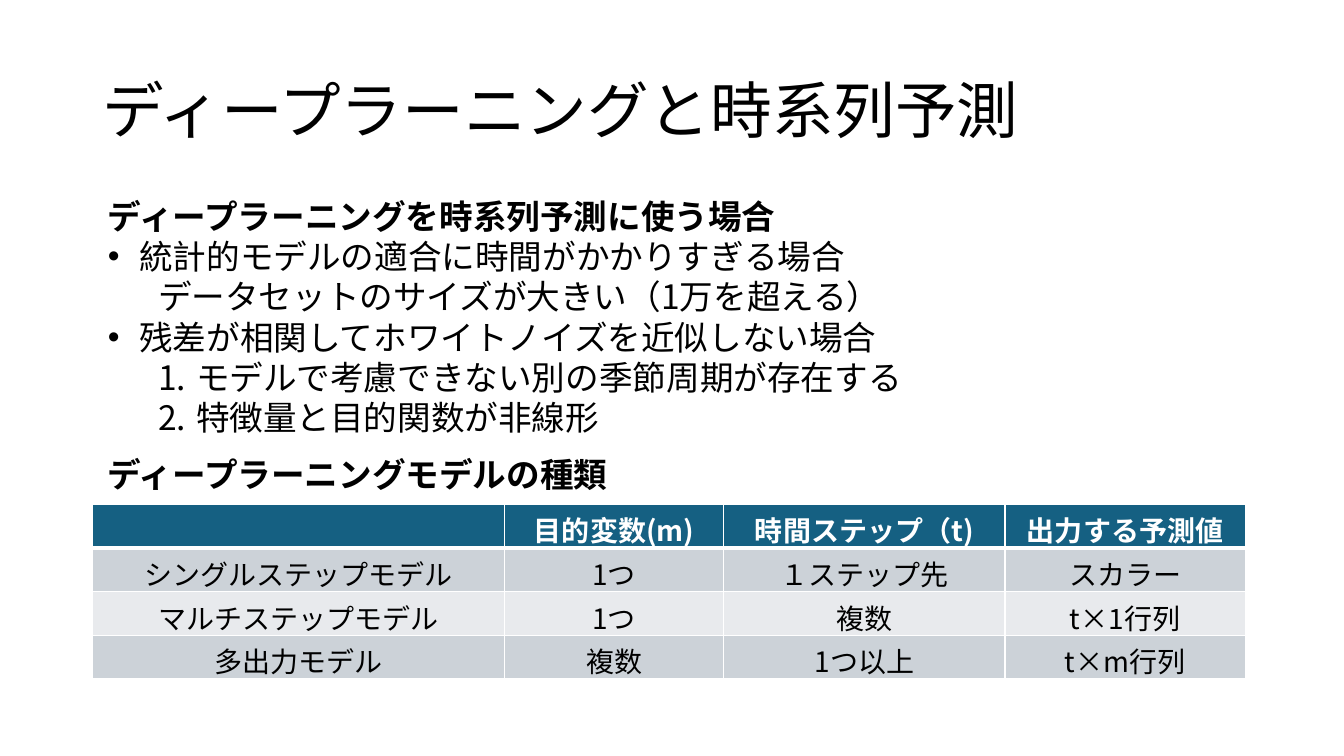
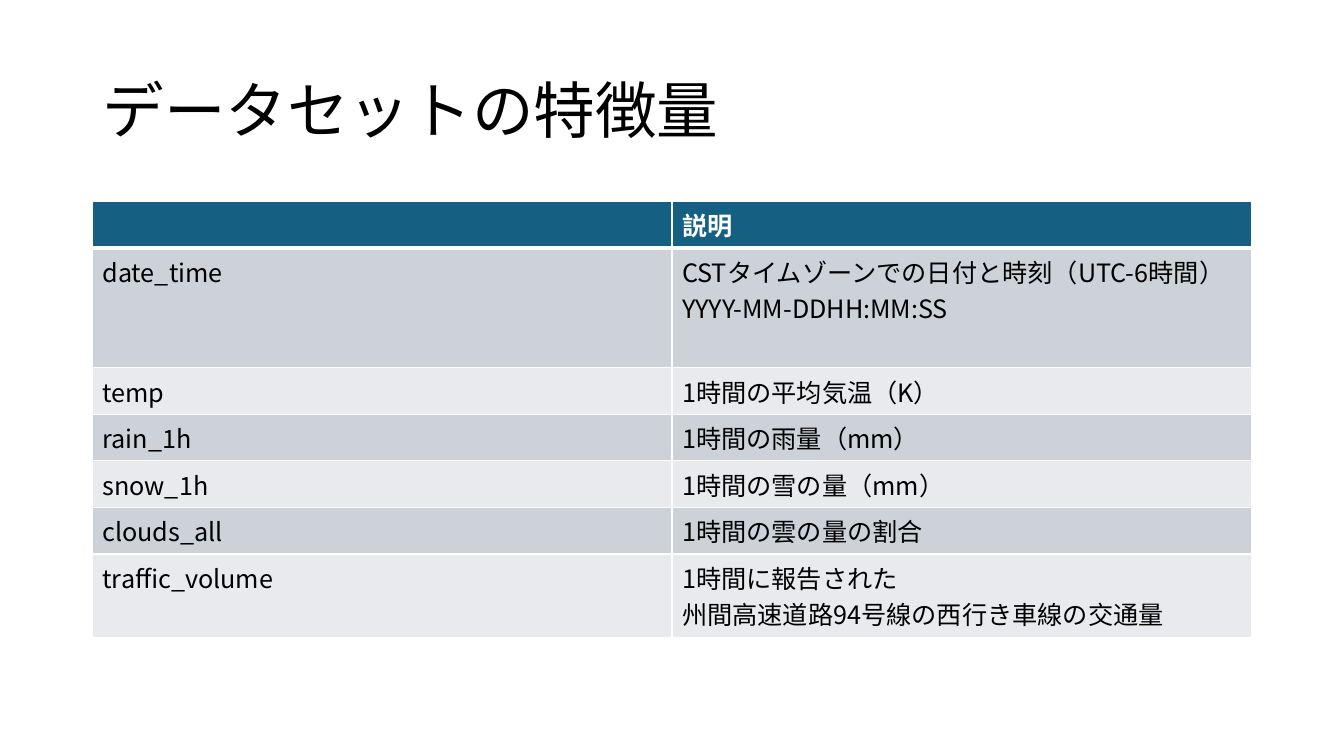
from lxml.etree import SubElement as Sub
from pptx import Presentation
from pptx.dml.color import RGBColor as RGB
from pptx.enum.text import MSO_ANCHOR as Anchor, MSO_AUTO_SIZE as Auto, PP_ALIGN as Align
from pptx.oxml import parse_xml
from pptx.oxml.ns import nsdecls, qn
from pptx.util import Pt

FONT = "Noto Sans CJK JP"
HUES = {"text": "000000", "head": "156082", "odd": "CCD2D8",
        "even": "E8EAED", "white": "FFFFFF"}

# kind: (level, left indent, first line, bullet tag, bullet attributes)
KINDS = {
    "head": (0, 0, 0, "buNone", {}),
    "dot": (0, 22.5, -22.5, "buChar", {"char": "•"}),
    "note": (1, 36, 0, "buNone", {}),
    "step": (1, 63, -27, "buAutoNum", {"type": "arabicPeriod"}),
}
CASES = [
    ("head", "ディープラーニングを時系列予測に使う場合"),
    ("dot", "統計的モデルの適合に時間がかかりすぎる場合"),
    ("note", "データセットのサイズが大きい（1万を超える）"),
    ("dot", "残差が相関してホワイトノイズを近似しない場合"),
    ("step", "モデルで考慮できない別の季節周期が存在する"),
    ("step", "特徴量と目的関数が非線形"),
]
MODELS = [
    ("", "目的変数(m)", "時間ステップ（t)", "出力する予測値"),
    ("シングルステップモデル", "1つ", "１ステップ先", "スカラー"),
    ("マルチステップモデル", "1つ", "複数", "t×1行列"),
    ("多出力モデル", "複数", "1つ以上", "t×m行列"),
]
TRAITS = [
    ("", "説明"),
    ("date_time", "CSTタイムゾーンでの日付と時刻（UTC-6時間）\nYYYY-MM-DDHH:MM:SS"),
    ("temp", "1時間の平均気温（K）"),
    ("rain_1h", "1時間の雨量（mm）"),
    ("snow_1h", "1時間の雪の量（mm）"),
    ("clouds_all", "1時間の雲の量の割合"),
    ("traffic_volume", "1時間に報告された\n州間高速道路94号線の西行き車線の交通量"),
]


def style(para, size, hue="text", bold=False, align=Align.LEFT):
    para.alignment = align
    for run in para.runs:
        font = run.font
        font.size, font.bold, font.name = Pt(size), bold, FONT
        font.color.rgb = RGB.from_string(HUES[hue])
        Sub(font._element, qn("a:ea"), typeface=FONT)


def place(shape, box):
    shape.left, shape.top, shape.width, shape.height = map(Pt, box)


def start(deck, layout, title):
    """Add a slide with the shared title."""
    slide = deck.slides.add_slide(deck.slide_layouts.get_by_name(layout))
    shape = slide.shapes.title
    place(shape, (66, 28.8, 828, 104.4))
    frame = shape.text_frame
    frame.text = title
    frame.vertical_anchor = Anchor.MIDDLE
    frame.paragraphs[0].line_spacing = 0.9
    style(frame.paragraphs[0], 44)
    return slide


def add_list(shape, box, items):
    place(shape, box)
    frame = shape.text_frame
    frame.auto_size = Auto.NONE
    frame.text = "\n".join(text for _, text in items)
    for para, (kind, _) in zip(frame.paragraphs, items):
        level, left, first, tag, attrs = KINDS[kind]
        para.level = level
        para.space_before = Pt(0)
        style(para, 24, bold=kind == "head")
        props = para._p.get_or_add_pPr()
        props.set("marL", str(Pt(left)))
        props.set("indent", str(Pt(first)))
        Sub(props, qn("a:" + tag), attrs)


def add_label(slide, box, text):
    frame = slide.shapes.add_textbox(*map(Pt, box)).text_frame
    frame.word_wrap = True
    frame.text = text
    style(frame.paragraphs[0], 24, bold=True)


def edge(cell, row):
    """Draw white cell borders, thick below the head row."""
    wide = {"T": row == 1, "B": row == 0}
    for spot, side in enumerate("LRTB"):
        width = Pt(3 if wide.get(side) else 1)
        line = parse_xml(
            f'<a:ln{side} {nsdecls("a")} w="{width}"><a:solidFill>'
            f'<a:srgbClr val="{HUES["white"]}"/></a:solidFill></a:ln{side}>')
        cell._tc.get_or_add_tcPr().insert(spot, line)


def add_grid(slide, left, top, widths, rows, size, align):
    high = 29.2
    box = (left, top, sum(widths), high * len(rows))
    grid = slide.shapes.add_table(len(rows), len(widths), *map(Pt, box)).table
    for col, width in zip(grid.columns, widths):
        col.width = Pt(width)
    for r, texts in enumerate(rows):
        grid.rows[r].height = Pt(high)
        back = "head" if r == 0 else "odd" if r % 2 else "even"
        for c, text in enumerate(texts):
            cell = grid.cell(r, c)
            cell.text = text
            cell.fill.solid()
            cell.fill.fore_color.rgb = RGB.from_string(HUES[back])
            edge(cell, r)
            for para in cell.text_frame.paragraphs:
                style(para, size, "text" if r else "white", r == 0, align)


def add_models(deck):
    slide = start(deck, "Title and Content", "ディープラーニングと時系列予測")
    add_list(slide.placeholders[1], (69.8, 136, 820, 181.4), CASES)
    add_label(slide, (69.8, 320.4, 687, 36), "ディープラーニングモデルの種類")
    add_grid(slide, 66, 360, (294.5, 156.5, 201, 171.5), MODELS, 20, Align.CENTER)


def add_traits(deck):
    slide = start(deck, "Title Only", "データセットの特徴量")
    add_grid(slide, 66, 144, (414, 414), TRAITS, 18, Align.LEFT)


def main():
    deck = Presentation()
    deck.slide_width, deck.slide_height = Pt(960), Pt(540)
    add_models(deck)
    add_traits(deck)
    deck.save("out.pptx")


if __name__ == "__main__":
    main()
